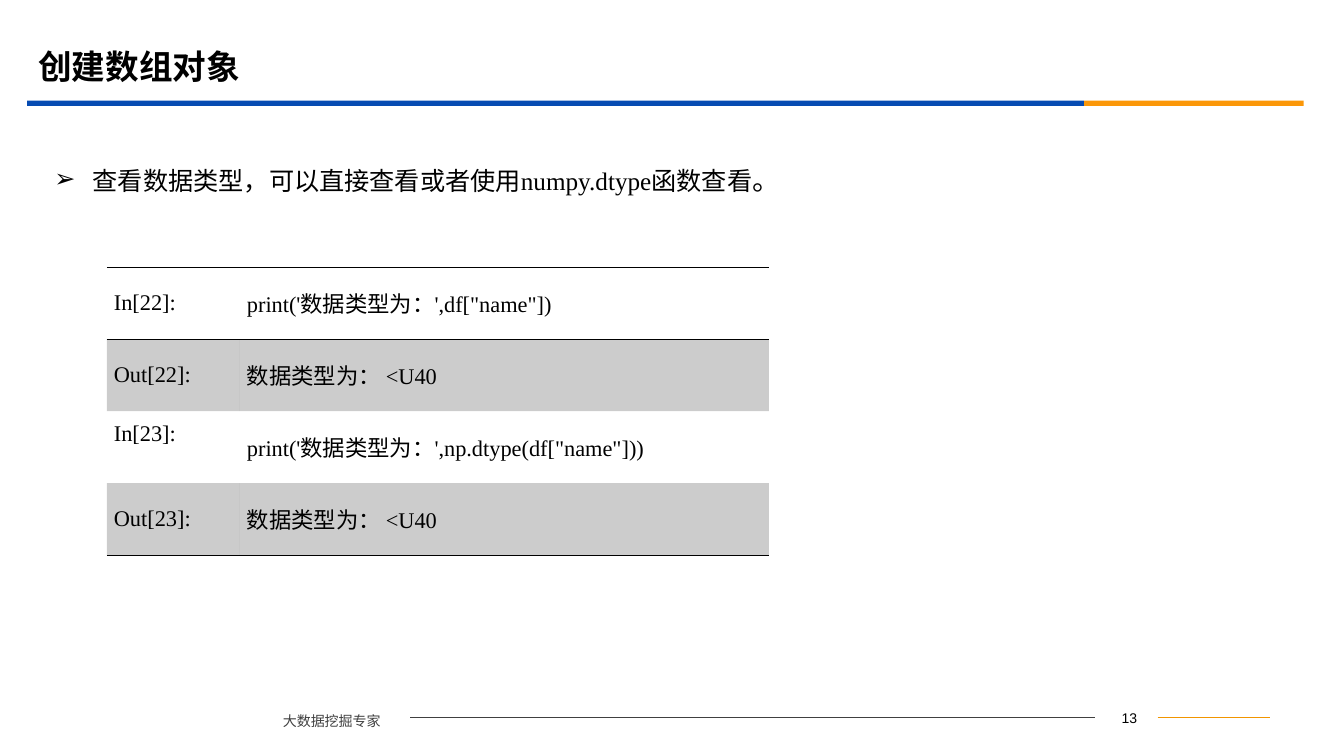
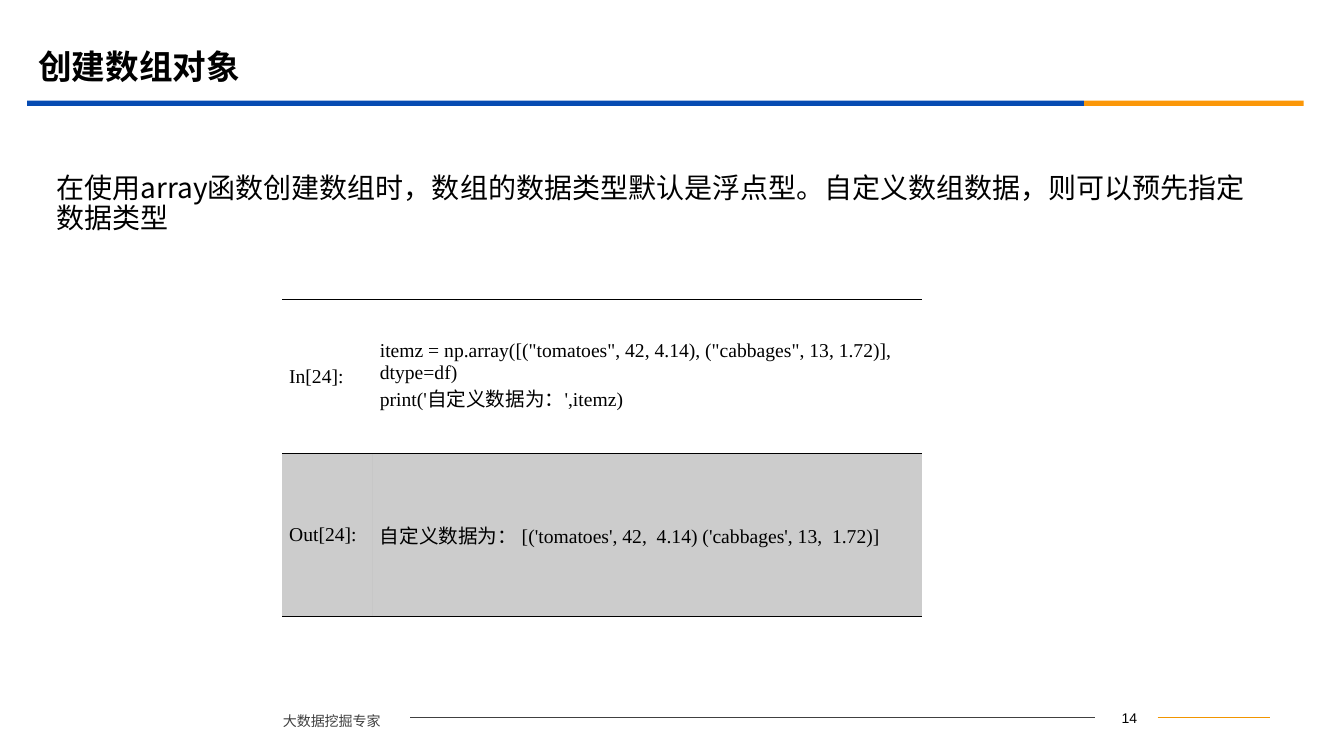
from pptx import Presentation
from pptx.dml.color import RGBColor
from pptx.enum.shapes import MSO_CONNECTOR as CONN, MSO_SHAPE as SHAPE
from pptx.enum.text import MSO_ANCHOR as ANCHOR, MSO_AUTO_SIZE as FIT, PP_ALIGN as AL
from pptx.oxml.ns import qn
from pptx.util import Inches, Pt
from lxml.etree import SubElement, Element

COLORS = {"blue": "064BB2", "orange": "FB9708", "gold": "F19500",
          "grey": "404040", "black": "000000"}
TIMES, CJK = "Times New Roman", "Noto Sans CJK SC"
NO_STYLE = "{2D5ABB26-0587-4C30-8999-92F81FD0307C}"


def rgb(name):
    return RGBColor.from_string(COLORS[name])


def put(obj, **fmt):
    for key, value in fmt.items():
        setattr(obj, key, value)


class Deck:
    """Holds the style and the current slide; lengths are percent of the slide."""

    def __init__(self):
        self.prs = Presentation()
        put(self.prs, slide_width=Inches(13.34), slide_height=Inches(7.5))

    def x(self, share):
        return round(self.prs.slide_width * share / 100)

    def y(self, share):
        return round(self.prs.slide_height * share / 100)

    def place(self, sp, left, top, width, height):
        put(sp, left=self.x(left), top=self.y(top),
            width=self.x(width), height=self.y(height))

    def run(self, p, text, size, font=TIMES, color="black", bold=False):
        r = p.add_run()
        r.text = text
        put(r.font, size=Pt(size), bold=bold, name=font)
        r.font.color.rgb = rgb(color)
        SubElement(r.font._element, qn("a:ea"), typeface=CJK)

    def text(self, box, text, size, align=AL.LEFT, spacing=1.0, **style):
        sp = self.s.shapes.add_textbox(0, 0, 0, 0)
        self.place(sp, *box)
        sp.text_frame.word_wrap = True
        p = sp.text_frame.paragraphs[0]
        put(p, alignment=align, line_spacing=spacing)
        self.run(p, text, size, **style)

    def band(self, box, color):
        sp = self.s.shapes.add_shape(SHAPE.RECTANGLE, 0, 0, 0, 0)
        self.place(sp, *box)
        sp.shadow.inherit = False
        sp.fill.solid()
        sp.fill.fore_color.rgb = rgb(color)
        sp.line.fill.background()

    def rule(self, start, end, color, width):
        y = self.y(94.93)
        sp = self.s.shapes.add_connector(CONN.STRAIGHT, self.x(start), y, self.x(end), y)
        sp.line.color.rgb = rgb(color)
        sp.line.width = Pt(width)
        SubElement(sp._element.spPr, qn("a:effectLst"))

    def placeholder(self, sp, box):
        self.place(sp, *box)
        put(sp.text_frame, word_wrap=True, auto_size=FIT.NONE,
            vertical_anchor=ANCHOR.MIDDLE)
        p = sp.text_frame.paragraphs[0]
        put(p, alignment=AL.LEFT, line_spacing=0.9, space_before=Pt(0))
        return p

    def slide(self, number, title, font):
        self.s = self.prs.slides.add_slide(self.prs.slide_layouts[1])
        self.text((81.71, 93.2, 4.65, 3.33), str(number), 10, AL.CENTER, font="Arial")
        self.rule(86.13, 94.53, "gold", 0.75)
        self.text((20.31, 92.53, 10.19, 4.67), "大数据挖掘专家", 10,
                  spacing=1.5, font=CJK, color="grey")
        self.rule(30.51, 81.48, "grey", 0.5)
        self.band((2.02, 13.33, 78.64, 0.67), "blue")
        self.band((80.66, 13.33, 16.34, 0.67), "orange")
        p = self.placeholder(self.s.shapes.title, (2.1, 5.2, 89.96, 7.73))
        self.run(p, title, 24, font, bold=True)

    def body(self, box, runs, font=TIMES, bullet=None):
        p = self.placeholder(self.s.placeholders[1], box)
        pPr = p._p.get_or_add_pPr()
        indent = Inches(0.38) if bullet else 0
        pPr.set("marL", str(indent))
        pPr.set("indent", str(-indent))
        if bullet:
            SubElement(pPr, qn("a:buChar"), char=bullet)
        else:
            SubElement(pPr, qn("a:buNone"))
        for text, size in runs:
            self.run(p, text, size, font)

    def border(self, cell, sides):
        tcPr = cell._tc.get_or_add_tcPr()
        for i, side in enumerate("LRTB"):
            ln = Element(qn("a:ln" + side), w=str(Pt(0.45)))
            if side in sides:
                fill = SubElement(ln, qn("a:solidFill"))
                SubElement(fill, qn("a:srgbClr"), val=COLORS["black"])
            else:
                SubElement(ln, qn("a:noFill"))
            tcPr.insert(i, ln)

    def shade(self, cell, shaded):
        if not shaded:
            cell.fill.background()
            return
        cell.fill.solid()
        cell.fill.fore_color.rgb = rgb("black")
        color = cell._tc.tcPr.find(".//" + qn("a:srgbClr"))
        SubElement(color, qn("a:alpha"), val="20000")

    def cells(self, left, top, cols, heights, rows, size, raised=()):
        sp = self.s.shapes.add_table(len(rows), len(cols), self.x(left), self.y(top),
                                     self.x(sum(cols)), self.y(sum(heights)))
        tbl = sp.table
        put(tbl, first_row=False, horz_banding=False)
        tbl._tbl.tblPr.find(qn("a:tableStyleId")).text = NO_STYLE
        for col, width in zip(tbl.columns, cols):
            col.width = self.x(width)
        for i, (height, row) in enumerate(zip(heights, rows)):
            tbl.rows[i].height = self.y(height)
            sides = ("T" if i < 2 else "") + ("B" if i in (0, len(rows) - 1) else "")
            for j, text in enumerate(row):
                cell = tbl.cell(i, j)
                lift = 0.26 if text in raised else 0
                put(cell, vertical_anchor=ANCHOR.MIDDLE,
                    margin_left=Inches(0.07), margin_right=Inches(0.07),
                    margin_top=Inches(0.05), margin_bottom=Inches(0.05 + lift))
                self.shade(cell, i % 2)
                self.border(cell, sides)
                tf = cell.text_frame
                for k, line in enumerate(text.split("\n")):
                    p = tf.add_paragraph() if k else tf.paragraphs[0]
                    p.alignment = AL.LEFT if j else AL.JUSTIFY
                    self.run(p, line, size)


def main():
    deck = Deck()
    title = "创建数组对象"

    deck.slide(13, title, TIMES)
    deck.body((3.3, 16.67, 65.59, 14.53),
              [("查看数据类型，可以直接查看或者使用numpy.dtype函数查看", 18), ("。", 20)],
              bullet="➢")
    deck.cells(7.95, 35.33, (9.9, 39.36), [9.53] * 4, [
        ("In[22]:", "print('数据类型为：',df[\"name\"])"),
        ("Out[22]:", "数据类型为： <U40"),
        ("In[23]:", "print('数据类型为：',np.dtype(df[\"name\"]))"),
        ("Out[23]:", "数据类型为： <U40"),
    ], 16, raised=("In[23]:",))

    deck.slide(14, title, "Montserrat")
    deck.body((3.45, 16.53, 91.08, 20.93),
              [("在使用array函数创建数组时，数组的数据类型默认是浮点型。"
                "自定义数组数据，则可以预先指定数据类型", 20)], CJK)
    deck.cells(20.99, 39.6, (6.75, 40.85), (20.4, 21.47), [
        ("In[24]:", 'itemz = np.array([("tomatoes", 42, 4.14), ("cabbages", 13, 1.72)], dtype=df)\n'
                    "print('自定义数据为：',itemz)"),
        ("Out[24]:", "自定义数据为： [('tomatoes', 42,  4.14) ('cabbages', 13,  1.72)]"),
    ], 14)

    deck.prs.save("out.pptx")


if __name__ == "__main__":
    main()
